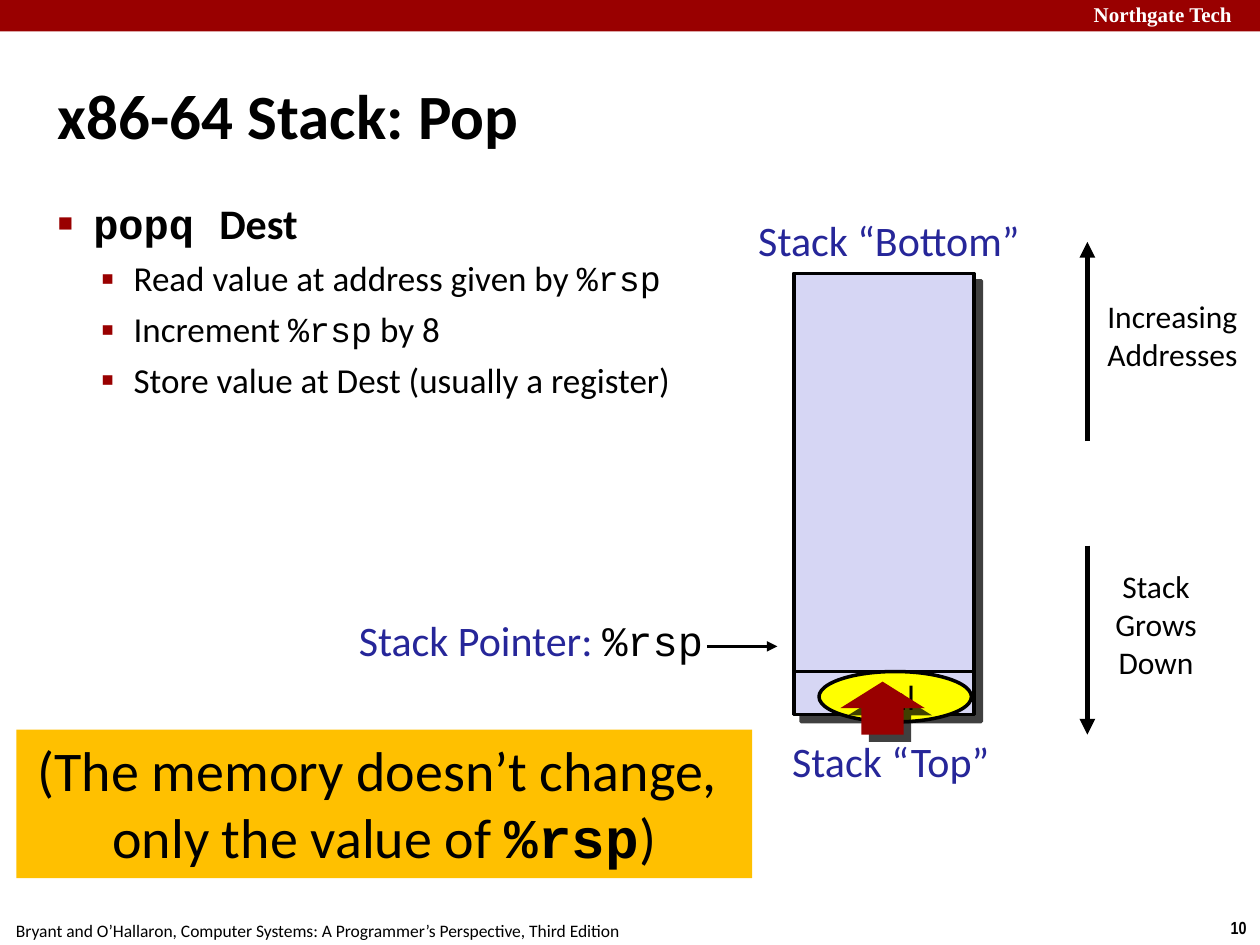
from lxml.etree import SubElement
from pptx import Presentation
from pptx.dml.color import RGBColor
from pptx.enum.shapes import MSO_CONNECTOR, MSO_SHAPE
from pptx.enum.text import MSO_ANCHOR, MSO_AUTO_SIZE, PP_ALIGN
from pptx.oxml.ns import qn
from pptx.util import Inches, Pt

BLACK = RGBColor(0, 0, 0)
WHITE = RGBColor(255, 255, 255)
RED = RGBColor(0x99, 0, 0)
BLUE = RGBColor(0x26, 0x26, 0x99)
LILAC = RGBColor(0xD6, 0xD6, 0xF4)
YELLOW = RGBColor(255, 255, 0)
AMBER = RGBColor(0xFF, 0xC0, 0)
SANS, MONO = "Calibri", "Courier New"


def place(shape, box):
    shape.left, shape.top, shape.width, shape.height = map(Inches, box)


def write(para, text, size, color=BLACK, bold=False, font=SANS, align=PP_ALIGN.CENTER):
    parts = text.split("`")
    para.text = parts[0]
    for part in parts[1:]:
        para.add_run().text = part
    para.alignment = align
    for run in para.runs:
        run.font.name = MONO if run.text in parts[1::2] else font
        run.font.size = Pt(size)
        run.font.bold = bold
        run.font.color.rgb = color


def frame(shape, inset=0, wrap=True, anchor=MSO_ANCHOR.TOP):
    text = shape.text_frame
    text.word_wrap = wrap
    text.auto_size = MSO_AUTO_SIZE.NONE
    text.vertical_anchor = anchor
    text.margin_left = text.margin_right = Inches(inset)
    text.margin_top = text.margin_bottom = Inches(min(inset, 0.05))
    return text


def label(slide, box, text, size, inset=0, wrap=False, **style):
    shape = slide.shapes.add_textbox(*map(Inches, box))
    body = frame(shape, inset, wrap)
    body.text = text
    for para in body.paragraphs:
        write(para, para.text, size, **style)
    return body


def block(slide, kind, box, fill, edge=False):
    shape = slide.shapes.add_shape(kind, *map(Inches, box))
    shape.shadow.inherit = False
    shape.fill.solid()
    shape.fill.fore_color.rgb = fill
    if edge:
        shape.line.color.rgb = BLACK
        shape.line.width = Pt(2)
    else:
        shape.line.fill.background()
    return shape


def shade(shape):
    effects = shape._element.spPr.find(qn("a:effectLst"))
    outer = SubElement(effects, qn("a:outerShdw"), blurRad="0", dist=str(Pt(6)),
                       dir="2700000", algn="ctr", rotWithShape="0")
    color = SubElement(outer, qn("a:srgbClr"), val="000000")
    SubElement(color, qn("a:alpha"), val="75000")


def stroke(slide, start, end, width, head=True):
    line = slide.shapes.add_connector(MSO_CONNECTOR.STRAIGHT, *map(Inches, start + end))
    line.line.color.rgb = BLACK
    line.line.width = Pt(width)
    if head:
        SubElement(line.line._get_or_add_ln(), qn("a:tailEnd"), type="triangle")
    SubElement(line._element.spPr, qn("a:effectLst"))


def bullet(para, char, left, hang, scale, gap):
    para.space_before = Pt(gap)
    props = para._p.get_or_add_pPr()
    props.set("marL", str(Inches(left)))
    props.set("indent", str(-Inches(hang)))
    color = SubElement(props, qn("a:buClr"))
    SubElement(color, qn("a:srgbClr"), val=str(RED))
    SubElement(props, qn("a:buSzPct"), val=str(scale * 1000))
    SubElement(props, qn("a:buChar"), char=char)


def add_header(slide, box):
    x, y, w, h = box
    block(slide, MSO_SHAPE.RECTANGLE, box, RED)
    label(slide, (x + w - 1.36, y - 0.03, 1.44, 0.28), "Northgate Tech", 12, 0.04, True,
          color=WHITE, bold=True, font="Times New Roman", align=PP_ALIGN.LEFT)


def add_footer(slide, box):
    x, y, w, h = box
    label(slide, (x - 0.02, y, 5.08, h),
          "Bryant and O’Hallaron, Computer Systems: A Programmer’s Perspective, Third Edition",
          10, 0.1)
    label(slide, (x + w - 0.34, y - 0.02, 0.34, h), "10", 10, 0.1,
          bold=True, font="Arial Narrow")


def add_title(slide, box):
    title = slide.shapes.title
    place(title, box)
    body = frame(title, 0.04, anchor=MSO_ANCHOR.MIDDLE)
    write(body.paragraphs[0], "x86-64 Stack: Pop", 36, bold=True, align=PP_ALIGN.LEFT)


def add_list(slide, box):
    holder = slide.placeholders[1]
    place(holder, box)
    body = frame(holder, 0.04)
    first = body.paragraphs[0]
    write(first, "`popq `Dest", 24, bold=True, align=PP_ALIGN.LEFT)
    bullet(first, "■", 0.28, 0.28, 60, 6)
    for text in ("Read value at address given by `%rsp`",
                 "Increment `%rsp` by 8",
                 "Store value at Dest (usually a register)"):
        para = body.add_paragraph()
        para.level = 1
        write(para, text, 20, align=PP_ALIGN.LEFT)
        bullet(para, "▪", 0.6, 0.26, 110, 5)


def add_stack(slide, box):
    x, y, w, h = box
    base = y + h
    cell = base - 0.34
    shade(block(slide, MSO_SHAPE.RECTANGLE, box, LILAC, True))
    block(slide, MSO_SHAPE.RECTANGLE, (x, cell, w, 0.34), LILAC, True)
    oval = block(slide, MSO_SHAPE.OVAL, (x + 0.2, cell, 1.21, 0.4), YELLOW, True)
    body = frame(oval, anchor=MSO_ANCHOR.MIDDLE)
    write(body.paragraphs[0], "val", 20)
    label(slide, (x - 0.36, y - 0.47, 2.23, 0.49), "Stack “Bottom”", 24, color=BLUE)
    label(slide, (x - 0.08, base + 0.17, 1.7, 0.49), "Stack “Top”", 24, color=BLUE)
    shade(block(slide, MSO_SHAPE.UP_ARROW, (x + 0.37, base - 0.26, 0.67, 0.42), RED))


def add_pointer(slide, box):
    x, y, w, h = box
    body = label(slide, (x, y, 2.78, h), "Stack Pointer: `%rsp`", 24,
                 color=BLUE, align=PP_ALIGN.RIGHT)
    body.paragraphs[0].runs[1].font.color.rgb = BLACK
    stroke(slide, (x + w - 0.56, y + 0.25), (x + w, y + 0.25), 2)


def add_axis(slide, box):
    x, y, w, h = box
    stroke(slide, (x, y + 1.58), (x, y), 3)
    label(slide, (x + 0.11, y + 0.44, 1.13, 0.69), "Increasing\nAddresses", 18)
    stroke(slide, (x, y + h - 1.5), (x, y + h), 3)
    label(slide, (x + 0.1, y + 2.58, 0.89, 1), "Stack Grows\nDown", 18, wrap=True)


def add_note(slide, box):
    note = block(slide, MSO_SHAPE.RECTANGLE, box, AMBER)
    para = frame(note, 0.1).paragraphs[0]
    write(para, "(The memory doesn’t change, \vonly the value of `%rsp`)", 32)
    para.runs[-2].font.bold = True


def main():
    deck = Presentation()
    deck.slide_width, deck.slide_height = Inches(10), Inches(7.5)
    slide = deck.slides.add_slide(deck.slide_layouts[1])
    add_header(slide, (0, 0, 10, 0.25))
    add_footer(slide, (0, 7.25, 10, 0.27))
    add_title(slide, (0.42, 0.28, 9.17, 1.25))
    add_list(slide, (0.42, 1.53, 9.17, 5.94))
    add_pointer(slide, (2.8, 4.88, 3.37, 0.4))
    add_stack(slide, (6.3, 2.17, 1.43, 3.5))
    add_axis(slide, (8.63, 1.92, 1.24, 3.91))
    add_note(slide, (0.13, 5.79, 5.84, 1.18))
    deck.save("out.pptx")


if __name__ == "__main__":
    main()
